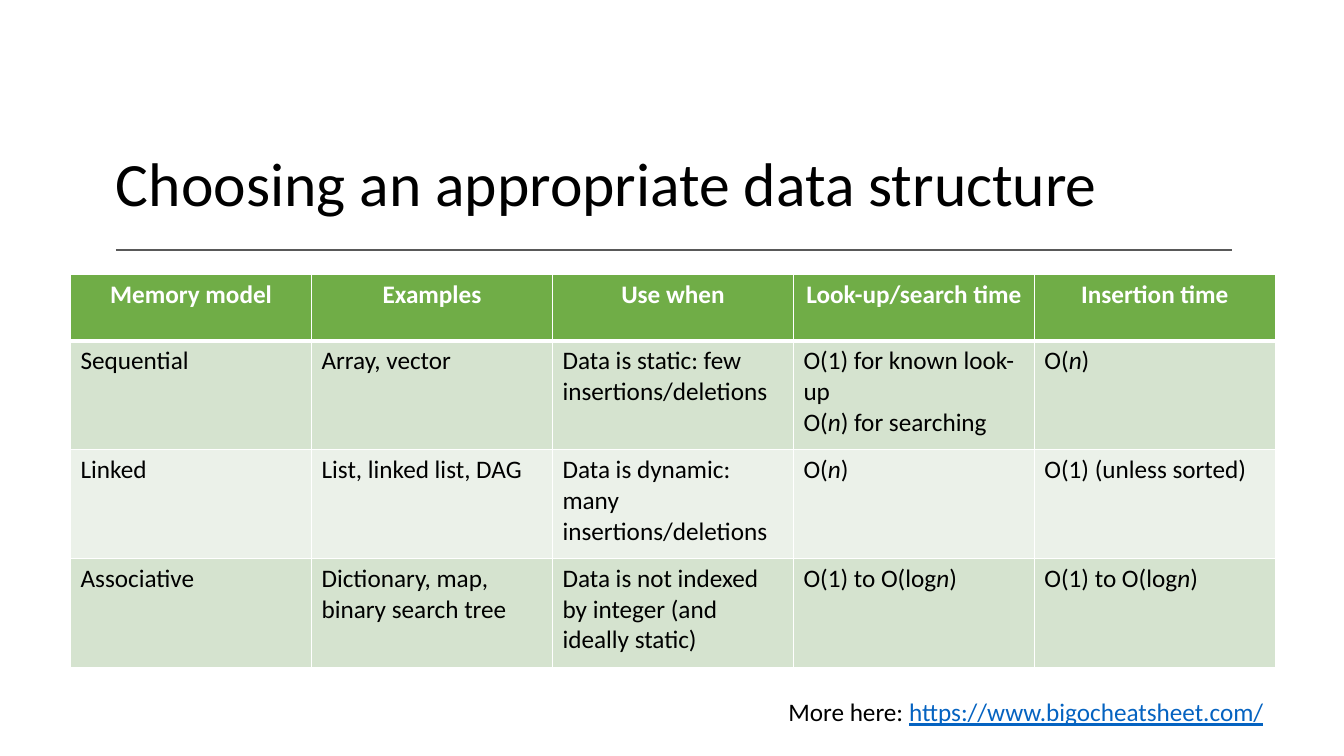
from dataclasses import dataclass

from lxml import etree
from pptx import Presentation
from pptx.dml.color import RGBColor
from pptx.enum.shapes import MSO_CONNECTOR
from pptx.enum.text import MSO_ANCHOR, MSO_AUTO_SIZE, PP_ALIGN
from pptx.oxml.ns import qn
from pptx.util import Inches, Pt

STRAIGHT = MSO_CONNECTOR.STRAIGHT
BOTTOM = MSO_ANCHOR.BOTTOM
CENTER, LEFT = PP_ALIGN.CENTER, PP_ALIGN.LEFT
GROW = MSO_AUTO_SIZE.SHAPE_TO_FIT_TEXT

FONT = "Calibri"
BLACK, WHITE, GREY, LINK_BLUE = "000000", "FFFFFF", "595959", "0563C1"
HEADER_GREEN = "70AD47"
BANDS = ("D5E3CF", "EBF1E9")
COLUMN_WIDTH, HEADER_HEIGHT, BODY_HEIGHT = 2.39, 0.66, 1.08


@dataclass(frozen=True)
class MemoryModel:
    """One table row; text between asterisks is italic."""
    name: str
    examples: str
    use_when: str
    lookup: str
    insertion: str

    def cells(self) -> tuple[str, ...]:
        return self.name, self.examples, self.use_when, self.lookup, self.insertion


HEADINGS = ("Memory model", "Examples", "Use when", "Look-up/search time", "Insertion time")
MODELS = (
    MemoryModel("Sequential", "Array, vector", "Data is static: few insertions/deletions",
                "O(1) for known look-up\nO(*n*) for searching", "O(*n*)"),
    MemoryModel("Linked", "List, linked list, DAG", "Data is dynamic: many insertions/deletions",
                "O(*n*)", "O(1) (unless sorted)"),
    MemoryModel("Associative", "Dictionary, map, binary search tree",
                "Data is not indexed by integer (and ideally static)",
                "O(1) to O(log*n*)", "O(1) to O(log*n*)"),
)


def color(value: str) -> RGBColor:
    return RGBColor.from_string(value)


def format_font(font, size: float, value: str) -> None:
    font.name = FONT
    font.size = Pt(size)
    font.color.rgb = color(value)


def add_title(page, text: str) -> None:
    title = page.shapes.title
    title.left, title.top = Inches(1.05), Inches(1.07)
    title.width, title.height = Inches(11.58), Inches(1.16)
    frame = title.text_frame
    frame.text = text
    frame.word_wrap = True
    frame.vertical_anchor = BOTTOM
    para = frame.paragraphs[0]
    para.alignment = LEFT
    para.line_spacing = 0.9
    format_font(para.runs[0].font, 44, BLACK)


def add_rule(page) -> None:
    rule = page.shapes.add_connector(
        STRAIGHT, Inches(1.15), Inches(2.48), Inches(12.22), Inches(2.48))
    rule.line.color.rgb = color(GREY)
    rule.line.width = Pt(1.25)
    etree.SubElement(rule._element.spPr, qn("a:effectLst"))


def set_borders(cell, top: float, bottom: float) -> None:
    properties = cell._tc.get_or_add_tcPr()
    for side, width in (("L", 1), ("R", 1), ("T", top), ("B", bottom)):
        line = etree.SubElement(properties, qn(f"a:ln{side}"), w=str(Pt(width)))
        fill = etree.SubElement(line, qn("a:solidFill"))
        etree.SubElement(fill, qn("a:srgbClr"), val=WHITE)


def fill_cell(cell, text: str, row: int) -> None:
    header = row == 0
    set_borders(cell, top=3 if row == 1 else 1, bottom=3 if header else 1)
    cell.fill.solid()
    cell.fill.fore_color.rgb = color(HEADER_GREEN if header else BANDS[(row - 1) % 2])
    frame = cell.text_frame
    frame.text = text
    for para, line in zip(frame.paragraphs, text.split("\n")):
        para.alignment = CENTER if header else LEFT
        para.text = ""
        for index, part in enumerate(line.split("*")):
            span = para.add_run()
            span.text = part
            format_font(span.font, 18, WHITE if header else BLACK)
            span.font.bold = header
            span.font.italic = index % 2 == 1


def add_model_table(page) -> None:
    rows = [HEADINGS, *(model.cells() for model in MODELS)]
    heights = [HEADER_HEIGHT] + [BODY_HEIGHT] * len(MODELS)
    table = page.shapes.add_table(
        len(rows), len(HEADINGS), Inches(0.7), Inches(2.72),
        Inches(COLUMN_WIDTH * len(HEADINGS)), Inches(sum(heights))).table
    for column in table.columns:
        column.width = Inches(COLUMN_WIDTH)
    for row, (texts, height) in enumerate(zip(rows, heights)):
        table.rows[row].height = Inches(height)
        for column, text in enumerate(texts):
            fill_cell(table.cell(row, column), text, row)


def add_further_reading(page) -> None:
    box = page.shapes.add_textbox(Inches(7.72), Inches(6.86), Inches(4.95), Inches(0.41))
    frame = box.text_frame
    frame.word_wrap = True
    frame.auto_size = GROW
    para = frame.paragraphs[0]
    for text, value in (("More here: ", BLACK), ("https://www.bigocheatsheet.com/", LINK_BLUE)):
        span = para.add_run()
        span.text = text
        format_font(span.font, 18, value)
        span.font.underline = value == LINK_BLUE


def main() -> None:
    deck = Presentation()
    deck.slide_width, deck.slide_height = Inches(13.33), Inches(7.5)
    page = deck.slides.add_slide(deck.slide_layouts.get_by_name("Title Only"))
    add_title(page, "Choosing an appropriate data structure")
    add_rule(page)
    add_model_table(page)
    add_further_reading(page)
    deck.save("out.pptx")


if __name__ == "__main__":
    main()
